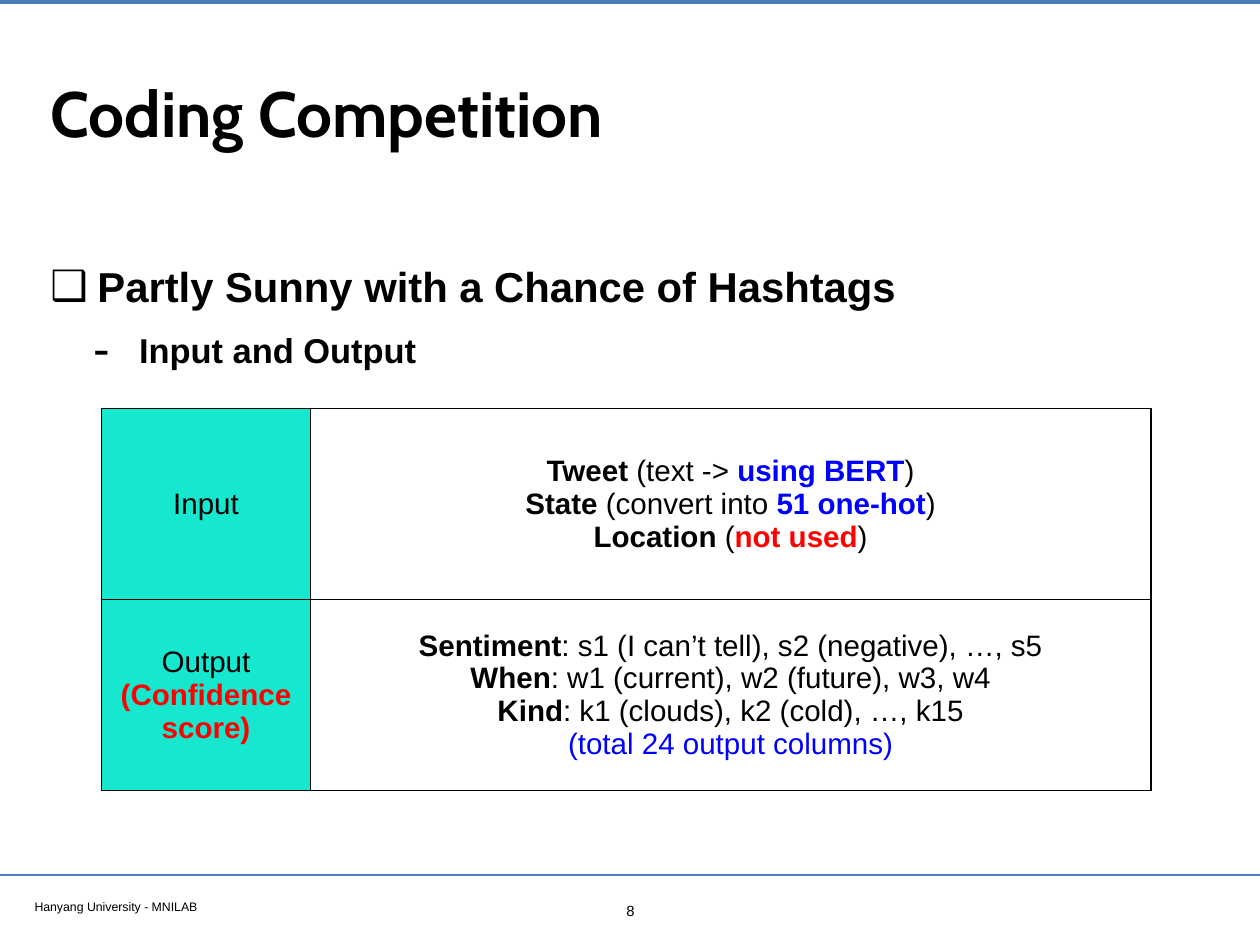
from dataclasses import dataclass

from lxml.etree import SubElement
from pptx import Presentation
from pptx.dml.color import RGBColor
from pptx.enum.shapes import MSO_CONNECTOR
from pptx.enum.text import MSO_ANCHOR, MSO_AUTO_SIZE, PP_ALIGN
from pptx.oxml.ns import qn
from pptx.util import Inches, Pt


@dataclass(frozen=True)
class Theme:
    black: str = "000000"
    white: str = "FFFFFF"
    blue: str = "0000FF"
    red: str = "FF0000"
    mint: str = "16E7CF"
    rule: str = "4A7EBB"
    head: str = "Cabin"
    text: str = "Arial"
    title: int = 52
    topic: int = 34
    sub: int = 28
    cell: int = 24
    page: int = 12
    foot: int = 10


THEME = Theme()
INSET = Inches(0.06)

# Each cell is a list of lines; each line is a list of (text, bold, colour) runs.
ROWS = [
    (
        [[("Input", False, THEME.black)]],
        [
            [("Tweet", True, THEME.black), (" (text -> ", False, THEME.black),
             ("using BERT", True, THEME.blue), (")", False, THEME.black)],
            [("State", True, THEME.black), (" (convert into ", False, THEME.black),
             ("51 one-hot", True, THEME.blue), (")", False, THEME.black)],
            [("Location", True, THEME.black), (" (", False, THEME.black),
             ("not used", True, THEME.red), (")", False, THEME.black)],
        ],
    ),
    (
        [[("Output", False, THEME.black)],
         [("(Confidence score)", True, THEME.red)]],
        [
            [("Sentiment", True, THEME.black),
             (": s1 (I can’t tell), s2 (negative), …, s5", False, THEME.black)],
            [("When", True, THEME.black),
             (": w1 (current), w2 (future), w3, w4", False, THEME.black)],
            [("Kind", True, THEME.black),
             (": k1 (clouds), k2 (cold), …, k15", False, THEME.black)],
            [("(total 24 output columns)", False, THEME.blue)],
        ],
    ),
]


def add_run(para, text, size, bold=False, color=THEME.black, face=THEME.text):
    run = para.add_run()
    run.text = text
    font = run.font
    font.name, font.size, font.bold = face, Pt(size), bold
    font.color.rgb = RGBColor.from_string(color)


def set_frame(frame, anchor=MSO_ANCHOR.TOP):
    frame.word_wrap = True
    frame.auto_size = MSO_AUTO_SIZE.NONE
    frame.vertical_anchor = anchor
    frame.margin_left = frame.margin_right = INSET
    frame.margin_top = frame.margin_bottom = INSET


def place(shape, left, top, width, height):
    shape.left, shape.top = Inches(left), Inches(top)
    shape.width, shape.height = Inches(width), Inches(height)


def add_rule(slide, top, weight):
    """Draw a line across the whole slide."""
    line = slide.shapes.add_connector(
        MSO_CONNECTOR.STRAIGHT, 0, Inches(top), Inches(14.22), Inches(top))
    line.line.color.rgb = RGBColor.from_string(THEME.rule)
    line.line.width = Pt(weight)
    SubElement(line._element.spPr, qn("a:effectLst"))


def add_label(slide, text, size, box, align=PP_ALIGN.LEFT):
    label = slide.shapes.add_textbox(*map(Inches, box))
    set_frame(label.text_frame)
    para = label.text_frame.paragraphs[0]
    para.alignment = align
    add_run(para, text, size)


def set_title(slide, text):
    title = slide.shapes.title
    place(title, 0.51, 0.28, 13.21, 1.97)
    set_frame(title.text_frame, MSO_ANCHOR.MIDDLE)
    para = title.text_frame.paragraphs[0]
    para.alignment = PP_ALIGN.LEFT
    add_run(para, text, THEME.title, True, face=THEME.head)


def set_bullet(para, mark, left, hang, scale):
    props = para._p.get_or_add_pPr()
    props.set("marL", str(Inches(left)))
    props.set("indent", str(-Inches(hang)))
    SubElement(props, qn("a:buSzPct"), val=str(scale * 1000))
    SubElement(props, qn("a:buFont"), typeface=THEME.text)
    SubElement(props, qn("a:buChar"), char=mark)


def set_body(slide):
    body = slide.placeholders[1]
    place(body, 0.51, 2.77, 12.94, 1.84)
    frame = body.text_frame
    set_frame(frame)
    topic, sub = frame.paragraphs[0], frame.add_paragraph()
    sub.level = 1
    set_bullet(topic, "❑", 0.53, 0.53, 100)
    set_bullet(sub, "-", 1, 0.52, 145)
    topic.space_before, sub.space_before = Pt(0), Pt(8)
    topic.line_spacing = sub.line_spacing = 1.2
    add_run(topic, "Partly Sunny with a Chance of Hashtags", THEME.topic, True)
    add_run(sub, "Input and Output", THEME.sub, True)


def set_border(cell):
    props = cell._tc.get_or_add_tcPr()
    for side in ("lnL", "lnR", "lnT", "lnB"):
        edge = SubElement(props, qn(f"a:{side}"), w=str(Pt(1)))
        fill = SubElement(edge, qn("a:solidFill"))
        SubElement(fill, qn("a:srgbClr"), val=THEME.black)


def fill_cell(cell, lines, color):
    set_border(cell)
    cell.fill.solid()
    cell.fill.fore_color.rgb = RGBColor.from_string(color)
    cell.vertical_anchor = MSO_ANCHOR.MIDDLE
    frame = cell.text_frame
    for num, line in enumerate(lines):
        para = frame.add_paragraph() if num else frame.paragraphs[0]
        para.alignment = PP_ALIGN.CENTER
        for text, bold, tint in line:
            add_run(para, text, THEME.cell, bold, tint)


def add_grid(slide):
    box = map(Inches, (1.15, 4.61, 11.84, 4.32))
    table = slide.shapes.add_table(len(ROWS), 2, *box).table
    table.first_row = table.horz_banding = False
    for col, width in zip(table.columns, (2.35, 9.49)):
        col.width = Inches(width)
    for row, cells in zip(table.rows, ROWS):
        row.height = Inches(2.16)
        for cell, lines, color in zip(row.cells, cells, (THEME.mint, THEME.white)):
            fill_cell(cell, lines, color)


def main():
    deck = Presentation()
    deck.slide_width, deck.slide_height = Inches(14.22), Inches(10.67)
    slide = deck.slides.add_slide(deck.slide_layouts[1])
    add_rule(slide, 0.02, 3.2)
    add_rule(slide, 9.88, 2)
    add_label(slide, "Hanyang University - MNILAB", THEME.foot,
              (0.33, 10.09, 5.46, 0.26))
    set_title(slide, "Coding Competition")
    set_body(slide)
    add_label(slide, "8", THEME.page, (6.92, 10.12, 0.39, 0.31), PP_ALIGN.CENTER)
    add_grid(slide)
    deck.save("out.pptx")


if __name__ == "__main__":
    main()
